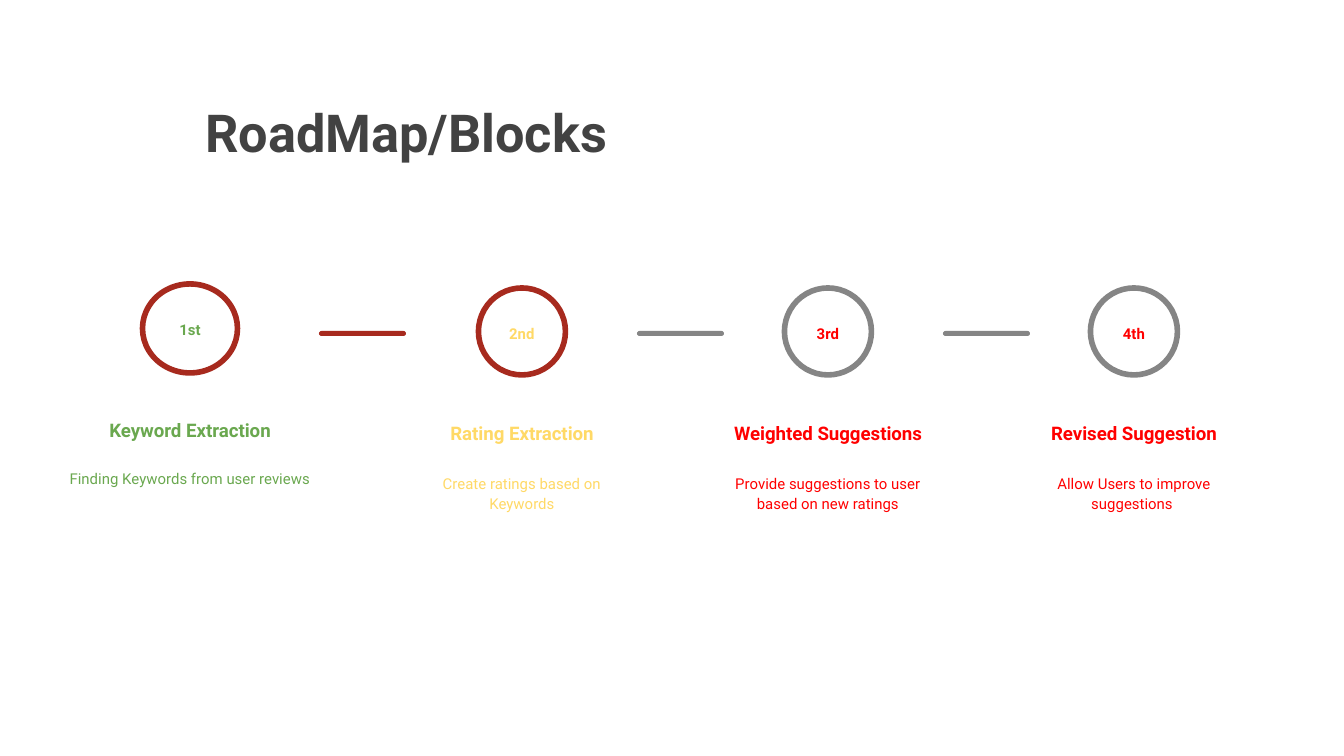
from dataclasses import dataclass

from pptx import Presentation
from pptx.dml.color import RGBColor
from pptx.enum.shapes import MSO_SHAPE
from pptx.enum.text import MSO_ANCHOR, PP_ALIGN
from pptx.util import Emu, Inches, Pt

SLIDE_WIDTH, SLIDE_HEIGHT = 1344, 756
EMU_PER_PX = Inches(10) / SLIDE_WIDTH

CHARCOAL = RGBColor(0x42, 0x42, 0x42)
BRICK = RGBColor(0xA7, 0x2A, 0x1E)
GRAY = RGBColor(0x85, 0x85, 0x85)
GREEN = RGBColor(0x6A, 0xA8, 0x4F)
YELLOW = RGBColor(0xFF, 0xD9, 0x66)
RED = RGBColor(0xFF, 0x00, 0x00)

STEP_PITCH = 306


def px(length):
    return Emu(round(length * EMU_PER_PX))


@dataclass
class StepLayout:
    """Sizes and tops shared by the parts of one roadmap step."""
    circle_top: int
    circle_width: int
    circle_height: int
    label_top: int
    label_width: int
    heading_top: int
    heading_width: int
    detail_top: int
    detail_width: int


FIRST_LAYOUT = StepLayout(284, 95, 89, 308, 70, 388, 273, 457, 280)
NEXT_LAYOUT = StepLayout(288, 87, 87, 312, 64, 391, 251, 458, 251)

STEPS = [
    ("1st", "Keyword Extraction", "Finding Keywords from user reviews",
     GREEN, BRICK, 190, FIRST_LAYOUT),
    ("2nd", "Rating Extraction", "Create ratings based on Keywords",
     YELLOW, BRICK, 522, NEXT_LAYOUT),
    ("3rd", "Weighted Suggestions",
     "Provide suggestions to user based on new ratings",
     RED, GRAY, 522 + STEP_PITCH, NEXT_LAYOUT),
    ("4th", "Revised Suggestion", "Allow Users to improve suggestions ",
     RED, GRAY, 522 + 2 * STEP_PITCH, NEXT_LAYOUT),
]
BARS = [(319, BRICK), (637, GRAY), (637 + STEP_PITCH, GRAY)]


class RoadmapSlide:
    font_name = "Roboto"
    inset = Inches(0.1)
    line_spacing = 1.15

    def __init__(self, slide):
        self.slide = slide

    def text(self, content, left, top, width, height, size, color, bold=True,
             align=PP_ALIGN.CENTER, anchor=MSO_ANCHOR.TOP, spacing=line_spacing):
        box = self.slide.shapes.add_textbox(
            px(left), px(top), px(width), px(height))
        frame = box.text_frame
        frame.word_wrap = True
        frame.vertical_anchor = anchor
        frame.margin_left = frame.margin_right = self.inset
        frame.margin_top = frame.margin_bottom = self.inset
        frame.text = content
        paragraph = frame.paragraphs[0]
        paragraph.alignment = align
        paragraph.line_spacing = spacing
        font = paragraph.runs[0].font
        font.name = self.font_name
        font.size = Pt(size)
        font.bold = bold
        font.color.rgb = color

    def bar(self, left, color):
        shape = self.slide.shapes.add_shape(
            MSO_SHAPE.ROUNDED_RECTANGLE, px(left), px(331), px(87), px(5))
        shape.adjustments[0] = 0.5
        shape.shadow.inherit = False
        shape.fill.solid()
        shape.fill.fore_color.rgb = color
        shape.line.fill.background()

    def circle(self, center, top, width, height, color):
        shape = self.slide.shapes.add_shape(
            MSO_SHAPE.OVAL, px(center - width / 2), px(top),
            px(width), px(height))
        shape.shadow.inherit = False
        shape.fill.background()
        shape.line.color.rgb = color
        shape.line.width = Pt(3)

    def step(self, label, heading, detail, color, ring_color, center, layout):
        self.circle(center, layout.circle_top, layout.circle_width,
                    layout.circle_height, ring_color)
        self.text(label, center - layout.label_width / 2, layout.label_top,
                  layout.label_width, 48, 8, color)
        self.text(heading, center - layout.heading_width / 2,
                  layout.heading_top, layout.heading_width, 66, 10, color,
                  anchor=MSO_ANCHOR.BOTTOM)
        self.text(detail, center - layout.detail_width / 2, layout.detail_top,
                  layout.detail_width, 110, 8, color, bold=False)


def main():
    presentation = Presentation()
    presentation.slide_width = px(SLIDE_WIDTH)
    presentation.slide_height = px(SLIDE_HEIGHT)
    blank_layout = presentation.slide_layouts[6]
    roadmap = RoadmapSlide(presentation.slides.add_slide(blank_layout))

    roadmap.text("RoadMap/Blocks", 192, 87, 1034, 147, 28, CHARCOAL,
                 align=PP_ALIGN.LEFT, spacing=1.0)
    for left, color in BARS:
        roadmap.bar(left, color)
    for step in STEPS:
        roadmap.step(*step)

    presentation.save("out.pptx")


if __name__ == "__main__":
    main()
